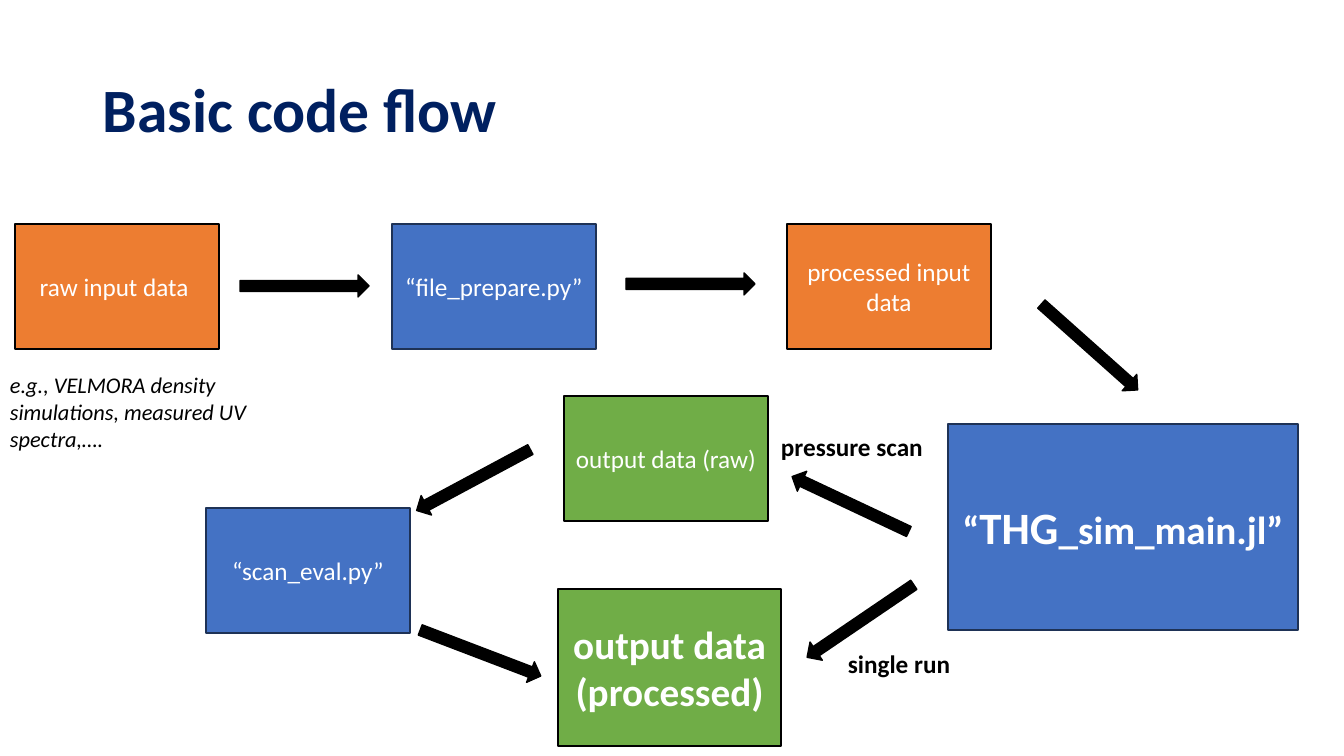
from pptx import Presentation
from pptx.dml.color import RGBColor
from pptx.enum.shapes import MSO_SHAPE
from pptx.enum.text import MSO_ANCHOR, PP_ALIGN
from pptx.util import Pt

NAVY = RGBColor(0x00, 0x20, 0x60)
BLUE = RGBColor(0x44, 0x72, 0xC4)
EDGE = RGBColor(0x1E, 0x32, 0x56)
ORANGE = RGBColor(0xED, 0x7D, 0x31)
GREEN = RGBColor(0x70, 0xAD, 0x47)
BLACK = RGBColor(0, 0, 0)
WHITE = RGBColor(255, 255, 255)

SCALE = 914400 / 100.8
STEP = (204, 125)
ARROW = (129, 22)

PLAIN = {"size": Pt(18), "color": WHITE}
BOLD = {"size": Pt(28), "color": WHITE, "bold": True}
LARGE = {**BOLD, "size": Pt(32)}
TITLE = {"size": Pt(44), "color": NAVY, "bold": True}
NOTE = {"size": Pt(16), "color": BLACK, "italic": True}
LABEL = {"size": Pt(18), "color": BLACK, "bold": True}

BOXES = [
    ((15, 224), STEP, ORANGE, BLACK, [("raw input data ", PLAIN)]),
    ((392, 224), STEP, BLUE, EDGE, [("“file_prepare.py”", PLAIN)]),
    ((787, 224), STEP, ORANGE, BLACK, [("processed input data", PLAIN)]),
    ((948, 424), (350, 206), BLUE, EDGE,
     [("“", BOLD), ("THG", LARGE), ("_sim_main.jl”", BOLD)]),
    ((564, 396), STEP, GREEN, BLACK, [("output data (raw)", PLAIN)]),
    ((206, 508), STEP, BLUE, EDGE, [("“scan_eval.py”", PLAIN)]),
    ((558, 589), (223, 157), GREEN, BLACK, [("output data (processed)", BOLD)]),
]
ARROWS = [
    ((240, 275), 0),
    ((626, 273), 0),
    ((1025, 336), 41.7),
    ((786, 493), 205.2),
    ((796, 610), 145.8),
    ((409, 469), 151.8),
    ((416, 642), 20.9),
]
TEXTS = [
    ((93, 40), (1159, 146), "Basic code flow", TITLE,
     {"word_wrap": True, "vertical_anchor": MSO_ANCHOR.MIDDLE}, 0.9),
    ((0, 366), (283, 92),
     "e.g., VELMORA density simulations, measured UV spectra,….", NOTE,
     {"word_wrap": True}, 1.0),
    ((771, 426), (163, 40), "pressure scan", LABEL, {"word_wrap": False}, 1.0),
    ((838, 643), (123, 40), "single run", LABEL, {"word_wrap": False}, 1.0),
]


def px(*vals):
    return [round(v * SCALE) for v in vals]


def assign(item, form):
    for key, val in form.items():
        setattr(item, key, val)


def write(para, parts):
    for text, form in parts:
        run = para.add_run()
        run.text = text
        font = run.font
        font.name = "Calibri"
        for key, val in form.items():
            if key == "color":
                font.color.rgb = val
            else:
                setattr(font, key, val)


def draw(kind, pos, size, fill, edge):
    shape = slide.shapes.add_shape(kind, *px(*pos, *size))
    shape.shadow.inherit = False
    shape.fill.solid()
    shape.fill.fore_color.rgb = fill
    shape.line.color.rgb = edge
    shape.line.width = Pt(1)
    return shape


deck = Presentation()
deck.slide_width, deck.slide_height = px(1344, 756)
slide = deck.slides.add_slide(deck.slide_layouts[6])

for pos, size, fill, edge, parts in BOXES:
    frame = draw(MSO_SHAPE.RECTANGLE, pos, size, fill, edge).text_frame
    assign(frame, {"word_wrap": True, "vertical_anchor": MSO_ANCHOR.MIDDLE})
    para = frame.paragraphs[0]
    para.alignment = PP_ALIGN.CENTER
    write(para, parts)

for pos, turn in ARROWS:
    draw(MSO_SHAPE.RIGHT_ARROW, pos, ARROW, BLACK, BLACK).rotation = turn

for pos, size, text, form, setup, space in TEXTS:
    frame = slide.shapes.add_textbox(*px(*pos, *size)).text_frame
    assign(frame, setup)
    para = frame.paragraphs[0]
    para.line_spacing = space
    write(para, [(text, form)])

deck.save("out.pptx")
